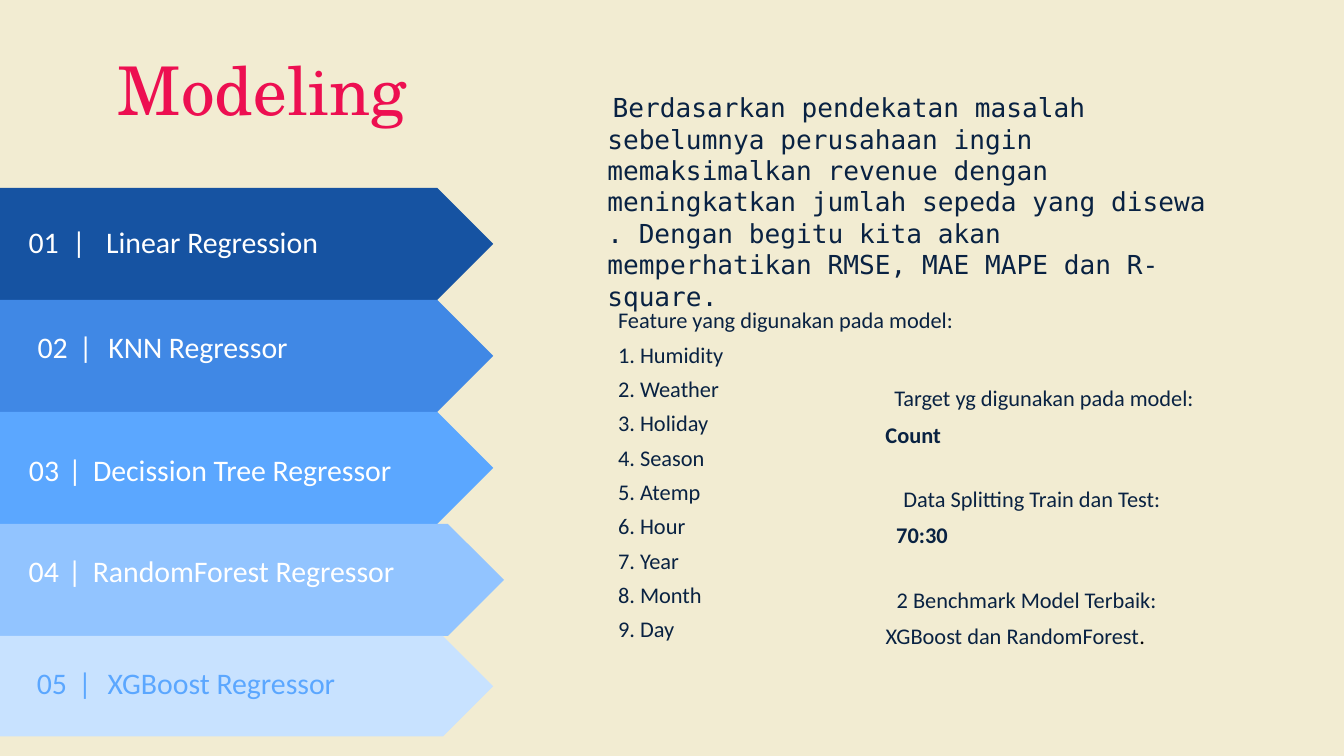
import pptx
import pptx.dml.color
import pptx.enum.shapes
import pptx.enum.text
import pptx.util

SERIF, SANS, MONO = "TeX Gyre Schola", "Calibri", "DejaVu Sans Mono"
NAVY, WHITE, SKY = "092242", "FFFFFF", "5BA7FF"
CENTER = pptx.enum.text.PP_ALIGN.CENTER
BOTTOM = pptx.enum.text.MSO_ANCHOR.BOTTOM
WIDTH = 10
HEIGHT = WIDTH * 9 / 16


def color(value):
    return pptx.dml.color.RGBColor.from_string(value)


def inches(value):
    return pptx.util.Inches(value)


def apply(target, values):
    for name, value in values.items():
        setattr(target, name, value)


class SlideBuilder:
    """Draws styled elements on a slide, placed in percent of its size."""

    def __init__(self, presentation, background):
        self.slide = presentation.slides.add_slide(presentation.slide_layouts[6])
        self.slide.background.fill.solid()
        self.slide.background.fill.fore_color.rgb = color(background)

    def place(self, left, top, width, height):
        return [inches(share * side / 100) for share, side in
                zip((left, top, width, height), (WIDTH, HEIGHT) * 2)]

    def banner(self, box, fill):
        kind = pptx.enum.shapes.MSO_SHAPE.PENTAGON
        shape = self.slide.shapes.add_shape(kind, *self.place(*box))
        shape.shadow.inherit = False
        shape.fill.solid()
        shape.fill.fore_color.rgb = color(fill)
        shape.line.fill.background()

    def text_box(self, box, **frame_format):
        shape = self.slide.shapes.add_textbox(*self.place(*box))
        apply(shape.text_frame, {"word_wrap": True, **frame_format})
        return shape.text_frame

    def paragraph(self, frame, runs, size=12, font=SANS, fill=NAVY, bold=None,
                  margin=0, indent=0, **paragraph_format):
        first = frame.paragraphs[0]
        paragraph = frame.add_paragraph() if first.runs else first
        apply(paragraph, paragraph_format)
        properties = paragraph._p.get_or_add_pPr()
        properties.set("marL", str(inches(margin)))
        properties.set("indent", str(inches(indent)))
        for text, run_fill in runs if isinstance(runs, list) else [(runs, fill)]:
            run = paragraph.add_run()
            run.text = text
            apply(run.font, {"size": pptx.util.Pt(size), "name": font, "bold": bold})
            run.font.color.rgb = color(run_fill)
        return paragraph

    def label(self, box, number, name, fill, gap, top_inset):
        frame = self.text_box(box, margin_top=inches(top_inset))
        runs = [(number, fill), (" | ", fill), (name, fill)]
        paragraph = self.paragraph(frame, runs, size=16, alignment=CENTER)
        separator = paragraph.runs[1]
        separator._r.get_or_add_rPr().set("spc", str(gap))


def main():
    presentation = pptx.Presentation()
    apply(presentation, {"slide_width": inches(WIDTH), "slide_height": inches(HEIGHT)})
    builder = SlideBuilder(presentation, "F2ECD2")

    title = builder.text_box((7.8, 10.3, 48.7, 8.5), vertical_anchor=BOTTOM,
                             margin_bottom=inches(0.1))
    builder.paragraph(title, "Modeling", size=36, font=SERIF, fill="ED0F51")

    summary = builder.text_box((39.2, 10, 52.5, 23.6), margin_top=inches(0.12))
    builder.paragraph(
        summary,
        "Berdasarkan pendekatan masalah sebelumnya perusahaan ingin memaksimalkan "
        "revenue dengan meningkatkan jumlah sepeda yang disewa . Dengan begitu kita "
        "akan memperhatikan RMSE, MAE MAPE dan R-square.",
        size=14, font=MONO, margin=0.5, indent=0.04)

    step = 14.82
    banners = [("1653A2", 36.7, step), ("4088E5", 36.7, step), (SKY, 36.7, step),
               ("92C4FF", 37.5, step), ("C8E2FF", 36.7, 13.3)]
    for row, (fill, width, height) in enumerate(banners):
        builder.banner((0, 24.85 + row * step, width, height), fill)

    labels = [
        ("Linear Regression", (0, 27.75, 25.8, 8.2), WHITE, 360, 0.1),
        ("KNN Regressor", (0, 42.65, 24.2, 6.6), WHITE, 240, 0.05),
        ("Decission Tree Regressor", (0, 58.85, 31.3, 6.6), WHITE, 120, 0.05),
        ("RandomForest Regressor", (0, 72.2, 31.5, 6.6), WHITE, 120, 0.05),
        ("XGBoost Regressor", (0.8, 87.1, 26.1, 6.6), SKY, 240, 0.05),
    ]
    for number, (name, box, *style) in enumerate(labels, 1):
        builder.label(box, f"{number:02}", name, *style)

    features = builder.text_box((45, 39.65, 34.9, 51.9))
    names = "Humidity Weather Holiday Season Atemp Hour Year Month Day".split()
    lines = [f"{number}. {name}" for number, name in enumerate(names, 1)]
    for line in ["Feature yang digunakan pada model:", *lines]:
        builder.paragraph(features, line, space_after=pptx.util.Pt(4))

    facts = [
        ("Target yg digunakan pada model:", "Count", True, 64.2, 27.4),
        ("Data Splitting Train dan Test:", "70:30", True, 65, 24),
        ("2 Benchmark Model Terbaik:",
         [("XGBoost dan RandomForest", NAVY), (".", "000000")], None, 64.2, 24.8),
    ]
    for row, (heading, value, bold, left, width) in enumerate(facts):
        frame = builder.text_box((left, 50 + row * 13.33, width, 10.3),
                                 margin_right=inches(0.14))
        spacing = {"space_after": pptx.util.Pt(5)}
        builder.paragraph(frame, heading, alignment=CENTER, **spacing)
        builder.paragraph(frame, value, bold=bold, margin=0.07, **spacing)

    presentation.save("out.pptx")


if __name__ == "__main__":
    main()
